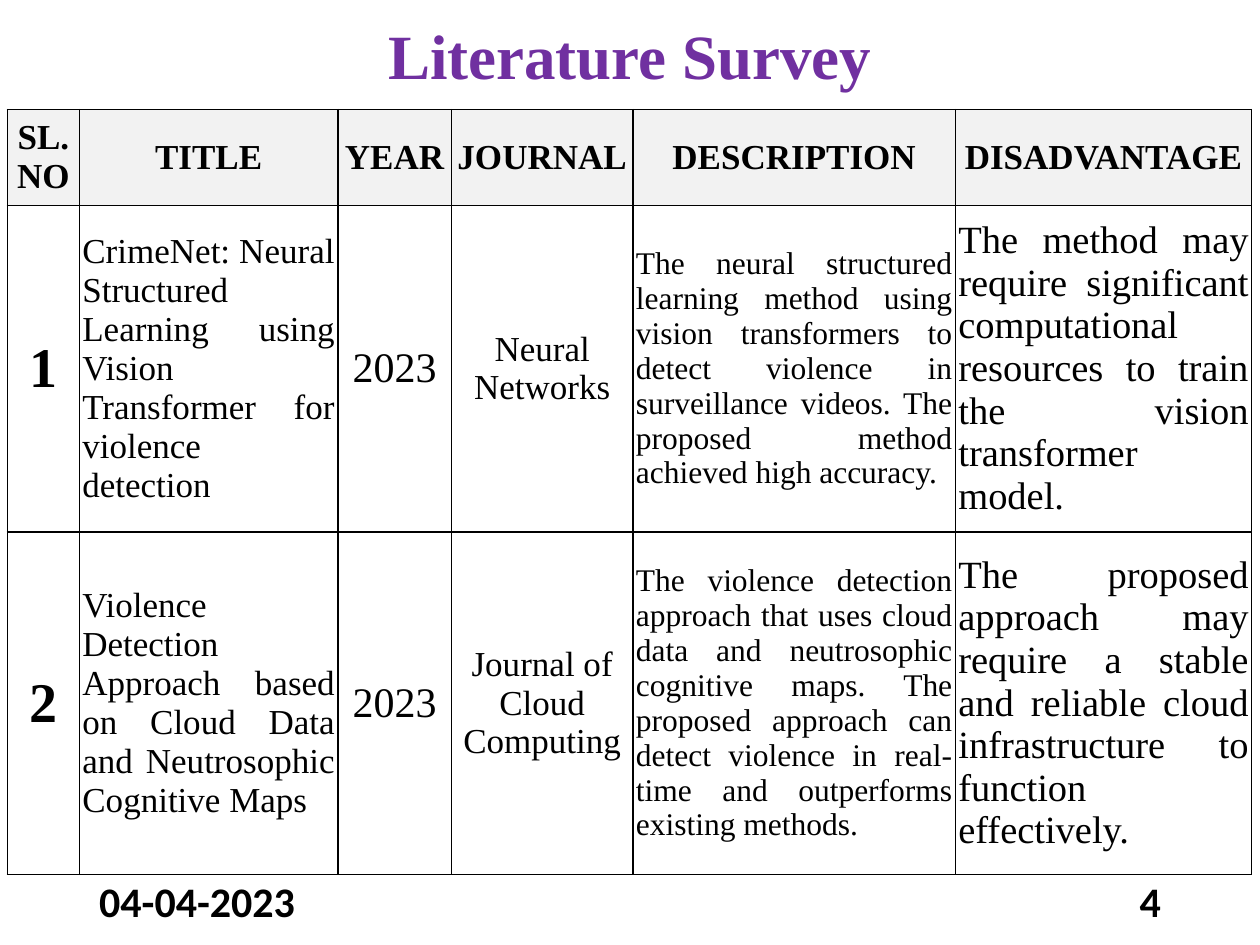
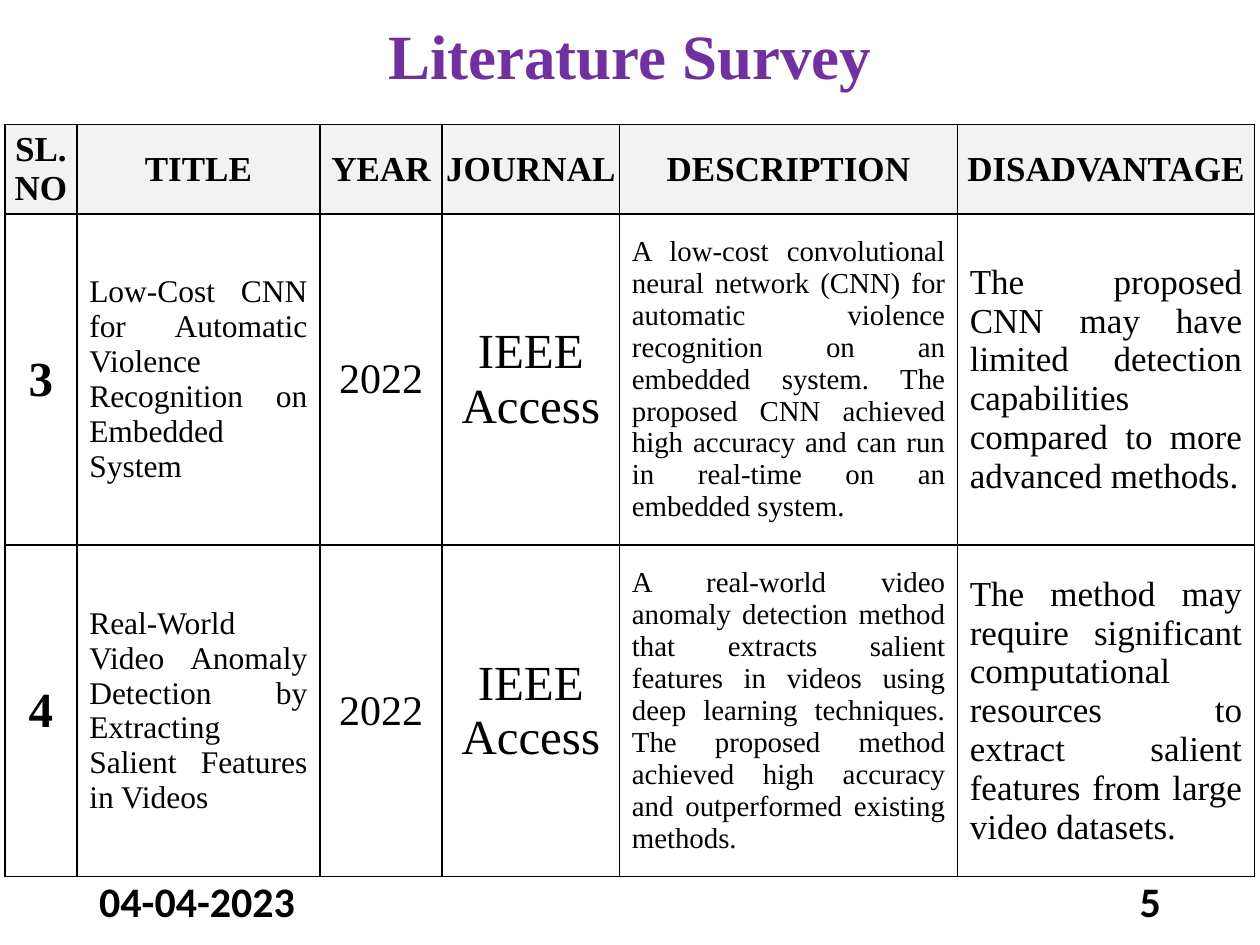
from lxml import etree
from pptx import Presentation
from pptx.dml.color import RGBColor
from pptx.enum.text import MSO_ANCHOR, PP_ALIGN
from pptx.oxml.ns import qn
from pptx.util import Cm, Pt

LEFT, CENTER, RIGHT, JUSTIFY = PP_ALIGN.LEFT, PP_ALIGN.CENTER, PP_ALIGN.RIGHT, PP_ALIGN.JUSTIFY
MIDDLE = MSO_ANCHOR.MIDDLE

PURPLE, BLACK, GREY, WHITE = "7030A0", "000000", "F2F2F2", "FFFFFF"
SERIF, SANS = "Times New Roman", "Calibri"
TITLE = "Literature Survey"
DATE = "04-04-2023"
HEADERS = ["SL. NO", "TITLE", "YEAR", "JOURNAL", "DESCRIPTION", "DISADVANTAGE"]
ALIGNS = [CENTER, JUSTIFY, CENTER, CENTER, JUSTIFY, JUSTIFY]
HEADER_SIZE = 20
TIGHT = (0.06, 0.03)
ROOMY = (0.25, 0.13)

SURVEYS = [
    {
        "number": "4",
        "origin": (0.15, 2.21),
        "cols": [1.45, 5.21, 2.29, 3.66, 6.5, 5.97],
        "rows": [1.93, 6.58, 6.91],
        "sizes": [32, 20, 24, 20, 18, 22],
        "insets": TIGHT,
        "papers": [
            ["1",
             "CrimeNet: Neural Structured Learning using Vision Transformer for violence detection",
             "2023", "Neural Networks",
             "The neural structured learning method using vision transformers to detect violence in "
             "surveillance videos. The proposed method achieved high accuracy.",
             "The method may require significant computational resources to train the vision "
             "transformer model."],
            ["2",
             "Violence Detection Approach based on Cloud Data and Neutrosophic Cognitive Maps",
             "2023", "Journal of Cloud Computing",
             "The violence detection approach that uses cloud data and neutrosophic cognitive maps. "
             "The proposed approach can detect violence in real-time and outperforms existing methods.",
             "The proposed approach may require a stable and reliable cloud infrastructure to "
             "function effectively."],
        ],
    },
    {
        "number": "5",
        "origin": (0.1, 2.51),
        "cols": [1.45, 4.9, 2.46, 3.58, 6.81, 5.99],
        "rows": [1.8, 6.68, 6.68],
        "sizes": [28, 18, 24, 28, 16.5, 20],
        "insets": ROOMY,
        "papers": [
            ["3",
             "Low-Cost CNN for Automatic Violence Recognition on Embedded System",
             "2022", "IEEE Access",
             "A low-cost convolutional neural network (CNN) for automatic violence recognition on an "
             "embedded system. The proposed CNN achieved high accuracy and can run in real-time on an "
             "embedded system.",
             "The proposed CNN may have limited detection capabilities compared to more advanced "
             "methods."],
            ["4",
             "Real-World Video Anomaly Detection by Extracting Salient Features in Videos",
             "2022", "IEEE Access",
             "A real-world video anomaly detection method that extracts salient features in videos "
             "using deep learning techniques. The proposed method achieved high accuracy and "
             "outperformed existing methods.",
             "The method may require significant computational resources to extract salient features "
             "from large video datasets."],
        ],
    },
]


def rgb(value):
    return RGBColor.from_string(value)


def write(tf, text, align, color=BLACK, **font):
    p = tf.paragraphs[0]
    p.alignment = align
    r = p.add_run()
    r.text = text
    r.font.color.rgb = rgb(color)
    for name, value in font.items():
        setattr(r.font, name, value)
    return p


def add_text(s, box, text, align, **font):
    tf = s.shapes.add_textbox(*map(Cm, box)).text_frame
    tf.word_wrap = True
    tf.vertical_anchor = MIDDLE
    return write(tf, text, align, bold=True, **font)


def add_borders(cell):
    tc_pr = cell._tc.get_or_add_tcPr()
    for i, side in enumerate(("lnL", "lnR", "lnT", "lnB")):
        line = etree.Element(qn("a:" + side), w=str(Pt(1)))
        fill = etree.SubElement(line, qn("a:solidFill"))
        etree.SubElement(fill, qn("a:srgbClr"), val=BLACK)
        tc_pr.insert(i, line)


def fill_cell(cell, text, align, fill, insets, size, bold):
    x, y = map(Cm, insets)
    layout = {"margin_left": x, "margin_right": x, "margin_top": y, "margin_bottom": y,
              "vertical_anchor": MIDDLE}
    for name, value in layout.items():
        setattr(cell, name, value)
    cell.fill.solid()
    cell.fill.fore_color.rgb = rgb(fill)
    add_borders(cell)
    write(cell.text_frame, text, align, name=SERIF, size=Pt(size), bold=bold)


def add_survey_table(s, survey):
    cols, rows = survey["cols"], survey["rows"]
    box = (*survey["origin"], sum(cols), sum(rows))
    table = s.shapes.add_table(len(rows), len(cols), *map(Cm, box)).table
    table.first_row = table.horz_banding = False
    for col, width in zip(table.columns, cols):
        col.width = Cm(width)
    for row, height in zip(table.rows, rows):
        row.height = Cm(height)
    for c, header in enumerate(HEADERS):
        fill_cell(table.cell(0, c), header, CENTER, GREY, TIGHT, HEADER_SIZE, True)
        for r, paper in enumerate(survey["papers"], 1):
            fill_cell(table.cell(r, c), paper[c], ALIGNS[c], WHITE, survey["insets"],
                      survey["sizes"][c], c == 0)


def add_survey_slide(prs, survey):
    s = prs.slides.add_slide(prs.slide_layouts[6])
    p = add_text(s, (1.75, 0.46, 21.9, 1.47), TITLE, CENTER, color=PURPLE, name=SERIF, size=Pt(36))
    p.line_spacing = 0.9
    for left, text, align in ((1.75, DATE, LEFT), (17.93, survey["number"], RIGHT)):
        add_text(s, (left, 17.65, 5.72, 1.02), text, align, name=SANS, size=Pt(24))
    add_survey_table(s, survey)


def main():
    prs = Presentation()
    prs.slide_width, prs.slide_height = Cm(25.4), Cm(19.05)
    for survey in SURVEYS:
        add_survey_slide(prs, survey)
    prs.save("out.pptx")


if __name__ == "__main__":
    main()
